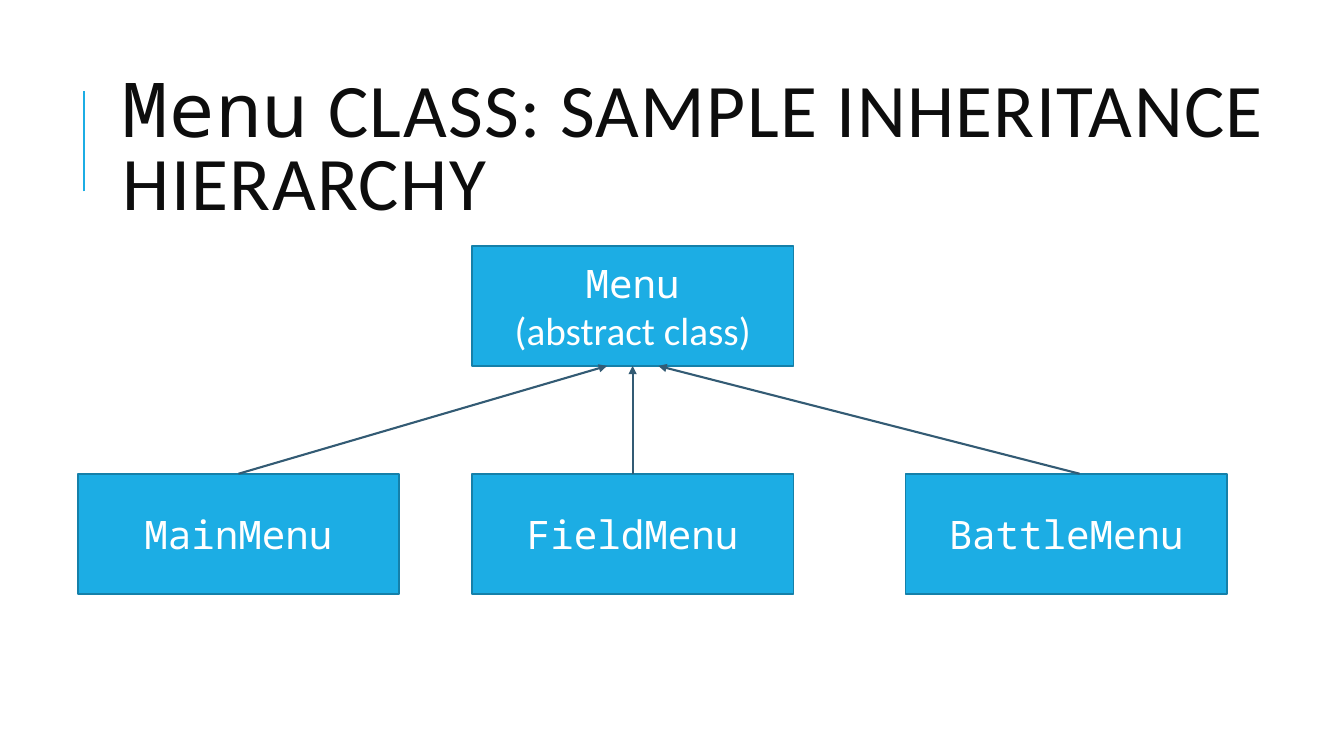
from pptx import Presentation
from pptx.dml.color import RGBColor
from pptx.enum.shapes import MSO_CONNECTOR, MSO_SHAPE
from pptx.enum.text import MSO_ANCHOR, PP_ALIGN
from pptx.oxml.ns import qn
from pptx.util import Inches, Pt
from lxml import etree

STRAIGHT, RECTANGLE = MSO_CONNECTOR.STRAIGHT, MSO_SHAPE.RECTANGLE
MIDDLE, CENTER = MSO_ANCHOR.MIDDLE, PP_ALIGN.CENTER

WHITE = RGBColor(0xFF, 0xFF, 0xFF)
INK = RGBColor(0x0D, 0x0D, 0x0D)
SKY = RGBColor(0x1C, 0xAD, 0xE4)
SKY_DARK = RGBColor(0x15, 0x80, 0xA9)
SLATE = RGBColor(0x33, 0x5B, 0x74)

CODE_FONT, BODY_FONT = "Noto Sans Mono", "Calibri"
SLIDE_W, SLIDE_H = Inches(13.33), Inches(7.5)

# Class boxes, in percent of the slide's width and height
BOX_W, BOX_H = 23.93, 15.87
PARENT_LEFT, PARENT_TOP = 35.11, 32.53
CHILD_TOP = 62.67
HEAD_GAP = 1.91

# Subclass name, left edge, shift of its arrow's start from the box centre
SUBCLASSES = [("MainMenu", 5.78, 0), ("FieldMenu", PARENT_LEFT, 0),
              ("BattleMenu", 67.37, 1)]


def across(percent):
    return round(SLIDE_W * percent / 100)


def down(percent):
    return round(SLIDE_H * percent / 100)


def add_run(paragraph, text, size, font, color):
    run = paragraph.add_run()
    run.text = text
    for key, value in {"size": Pt(size), "name": font}.items():
        setattr(run.font, key, value)
    run.font.color.rgb = color
    return run


def add_rule(slide, start, end, color, arrow=False):
    rule = slide.shapes.add_connector(
        STRAIGHT, across(start[0]), down(start[1]), across(end[0]), down(end[1]))
    rule.line.color.rgb = color
    rule.line.width = Pt(1.5)
    if arrow:
        etree.SubElement(rule.line._get_or_add_ln(), qn("a:tailEnd"), type="triangle")
    etree.SubElement(rule._element.spPr, qn("a:effectLst"))


def add_title(slide):
    title = slide.shapes.add_textbox(across(8.4), down(12.27), across(88.52), down(15.73))
    frame = title.text_frame
    for key, value in {"word_wrap": True, "vertical_anchor": MIDDLE}.items():
        setattr(frame, key, value)
    heading = frame.paragraphs[0]
    heading.line_spacing = 0.8
    for text, font in [("Menu", CODE_FONT),
                       (" CLASS: SAMPLE INHERITANCE HIERARCHY", BODY_FONT)]:
        run = add_run(heading, text, 54, font, INK)
        run.font._element.set("spc", "100")


def add_class_box(slide, left, top, lines):
    box = slide.shapes.add_shape(
        RECTANGLE, across(left), down(top), across(BOX_W), down(BOX_H))
    box.shadow.inherit = False
    box.fill.solid()
    box.fill.fore_color.rgb = SKY
    box.line.color.rgb = SKY_DARK
    box.line.width = Pt(1.25)
    frame = box.text_frame
    frame.vertical_anchor = MIDDLE
    for index, (text, font) in enumerate(lines):
        paragraph = frame.add_paragraph() if index else frame.paragraphs[0]
        paragraph.alignment = CENTER
        add_run(paragraph, text, 28, font, WHITE)


def main():
    deck = Presentation()
    deck.slide_width, deck.slide_height = SLIDE_W, SLIDE_H
    slide = deck.slides.add_slide(deck.slide_layouts[6])

    # Heading with its accent rule
    add_rule(slide, (6.23, 25.33), (6.23, 12), SKY)
    add_title(slide)

    # Parent class above its subclasses
    add_class_box(slide, PARENT_LEFT, PARENT_TOP,
                  [("Menu", CODE_FONT), ("(abstract class)", BODY_FONT)])
    for name, left, _ in SUBCLASSES:
        add_class_box(slide, left, CHILD_TOP, [(name, CODE_FONT)])

    # Inheritance arrows, heads spread evenly about the parent's centre
    for index, (_, left, shift) in enumerate(SUBCLASSES):
        start = (left + BOX_W / 2 + shift, CHILD_TOP)
        head = PARENT_LEFT + BOX_W / 2 + (index - 1) * HEAD_GAP
        add_rule(slide, start, (head, PARENT_TOP + BOX_H), SLATE, arrow=True)

    deck.save("out.pptx")


main()
